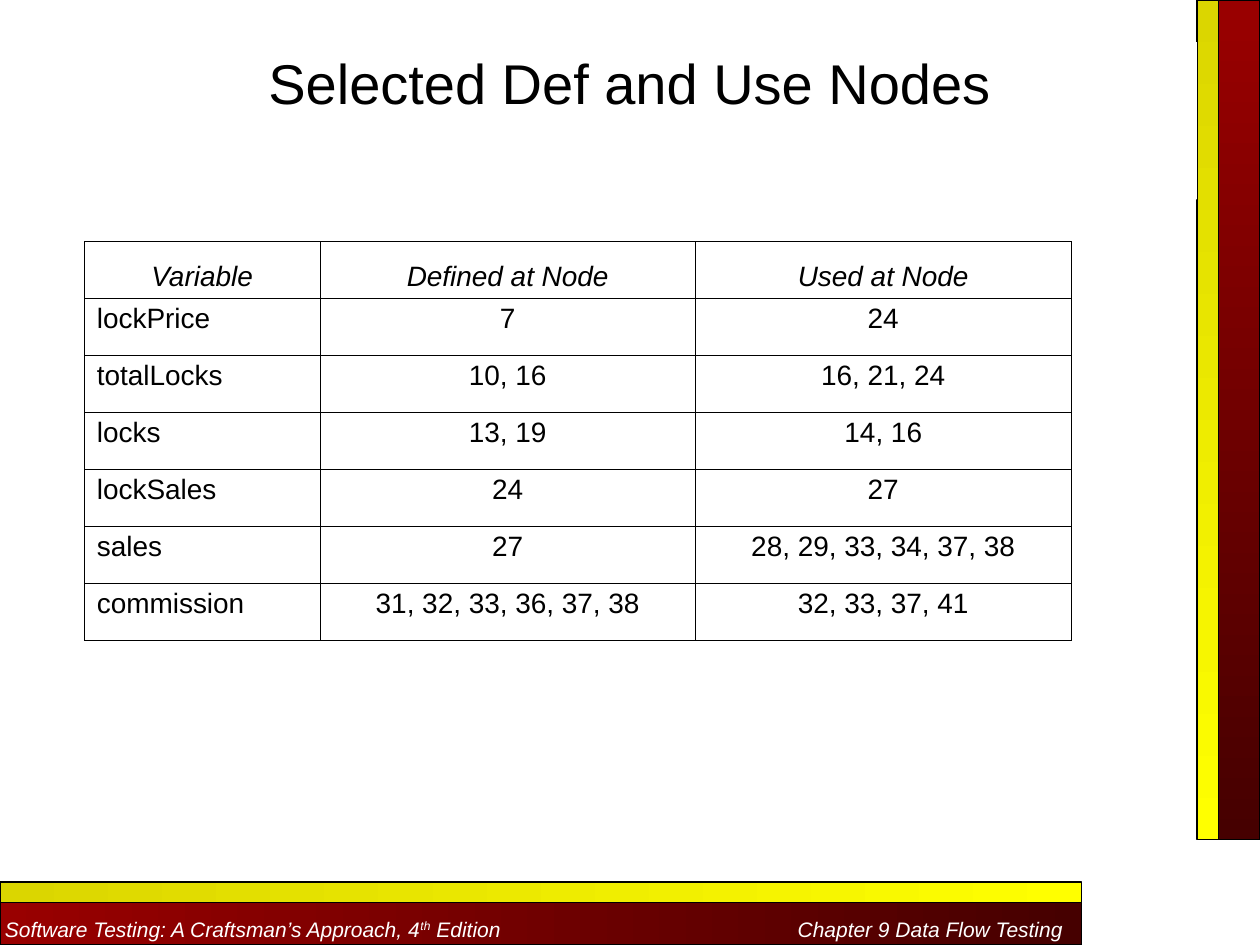
from dataclasses import dataclass

from lxml.etree import SubElement
from pptx import Presentation
from pptx.dml.color import RGBColor
from pptx.enum.shapes import MSO_SHAPE
from pptx.enum.text import MSO_ANCHOR, PP_ALIGN
from pptx.oxml import parse_xml
from pptx.oxml.ns import nsdecls, qn
from pptx.util import Cm, Pt


@dataclass(frozen=True)
class Theme:
    font: str = "Arial"
    black: str = "000000"
    white: str = "FFFFFF"
    red: tuple = ("990000", "460000")
    gold: tuple = ("DBD600", "FFFF00")
    title: int = 32
    body: int = 16
    foot: int = 12
    edge: float = 0.75
    rule: float = 0.23


@dataclass(frozen=True)
class Bar:
    left: float
    top: float
    width: float
    height: float
    tint: tuple
    angle: int  # counter-clockwise


THEME = Theme()
DOWN, RIGHT = 270, 0
BARS = [
    Bar(24.56, 0, 0.84, 16.93, THEME.red, DOWN),
    Bar(0, 18.2, 21.8, 0.85, THEME.red, RIGHT),
    Bar(24.13, 0, 0.43, 16.93, THEME.gold, DOWN),
    Bar(0, 17.78, 21.8, 0.42, THEME.gold, RIGHT),
]
ROWS = [
    ("Variable", "Defined at Node", "Used at Node"),
    ("lockPrice", "7", "24"),
    ("totalLocks", "10, 16", "16, 21, 24"),
    ("locks", "13, 19", "14, 16"),
    ("lockSales", "24", "27"),
    ("sales", "27", "28, 29, 33, 34, 37, 38"),
    ("commission", "31, 32, 33, 36, 37, 38", "32, 33, 37, 41"),
]
COLS = (4.75, 7.57, 7.57)
ROW_H = 1.15


def rgb(code: str) -> RGBColor:
    return RGBColor.from_string(code)


def write(frame, *parts: str, size: int, color: str = THEME.black,
          italic: bool = False, align=PP_ALIGN.LEFT, lead: float = 1.0,
          raised: str = "", tab: float = 0):
    """Fill the first paragraph; the part equal to raised is superscript."""
    para = frame.paragraphs[0]
    para.alignment = align
    para.line_spacing = lead
    if tab:
        stops = SubElement(para._p.get_or_add_pPr(), qn("a:tabLst"))
        SubElement(stops, qn("a:tab"), pos=str(Cm(tab)), algn="r")
    for part in parts:
        run = para.add_run()
        run.text = part
        font = run.font
        font.name, font.size = THEME.font, Pt(size)
        font.bold, font.italic = False, italic
        font.color.rgb = rgb(color)
        if part == raised:
            font._element.set("baseline", "30000")


def box(slide, left: float, top: float, width: float, height: float):
    shape = slide.shapes.add_shape(
        MSO_SHAPE.RECTANGLE, Cm(left), Cm(top), Cm(width), Cm(height))
    shape.shadow.inherit = False
    return shape


def draw_bar(slide, bar: Bar):
    shape = box(slide, bar.left, bar.top, bar.width, bar.height)
    shape.fill.gradient()
    shape.fill.gradient_angle = bar.angle
    for stop, code, place in zip(shape.fill.gradient_stops, bar.tint, (0, 1)):
        stop.color.rgb = rgb(code)
        stop.position = place
    shape.line.color.rgb = rgb(THEME.black)
    shape.line.width = Pt(THEME.edge)
    return shape


def rule_cell(cell):
    props = cell._tc.get_or_add_tcPr()
    for spot, side in enumerate(("lnL", "lnR", "lnT", "lnB")):
        props.insert(spot, parse_xml(
            f'<a:{side} {nsdecls("a")} w="{Pt(THEME.rule)}"><a:solidFill>'
            f'<a:srgbClr val="{THEME.black}"/></a:solidFill></a:{side}>'))


def draw_table(slide, left: float, top: float):
    table = slide.shapes.add_table(
        len(ROWS), len(COLS), Cm(left), Cm(top),
        Cm(sum(COLS)), Cm(ROW_H * len(ROWS))).table
    table.first_row = table.horz_banding = False
    for col, width in zip(table.columns, COLS):
        col.width = Cm(width)
    for r, row in enumerate(ROWS):
        table.rows[r].height = Cm(ROW_H)
        for c, text in enumerate(row):
            cell, head = table.cell(r, c), r == 0
            cell.fill.background()
            rule_cell(cell)
            cell.vertical_anchor = MSO_ANCHOR.BOTTOM if head else MSO_ANCHOR.TOP
            write(cell.text_frame, text, size=THEME.body, italic=head, lead=0.94,
                  align=PP_ALIGN.CENTER if head or c else PP_ALIGN.LEFT)


def main():
    deck = Presentation()
    deck.slide_width, deck.slide_height = Cm(25.4), Cm(19.05)
    slide = deck.slides.add_slide(deck.slide_layouts[6])

    # Frame bars
    bars = [draw_bar(slide, bar) for bar in BARS]

    # Footer on the lower red bar
    foot = bars[1].text_frame
    foot.word_wrap = True
    foot.vertical_anchor = MSO_ANCHOR.MIDDLE
    foot.margin_left, foot.margin_right = Cm(0.1), Cm(0.1)
    foot.margin_top, foot.margin_bottom = Cm(0.2), Cm(0)
    write(foot, "Software Testing: A Craftsman’s Approach, 4", "th",
          " Edition", "\tChapter 9 Data Flow Testing", size=THEME.foot,
          color=THEME.white, italic=True, raised="th", tab=21.33)

    # Title
    title = box(slide, 1.27, 0.85, 22.86, 3.17)
    title.fill.solid()
    title.fill.fore_color.rgb = rgb(THEME.white)
    title.line.fill.background()
    title.text_frame.word_wrap = True
    title.text_frame.vertical_anchor = MSO_ANCHOR.TOP
    write(title.text_frame, "Selected Def and Use Nodes",
          size=THEME.title, align=PP_ALIGN.CENTER)

    # Table of nodes
    draw_table(slide, 1.7, 4.87)

    deck.save("out.pptx")


if __name__ == "__main__":
    main()
